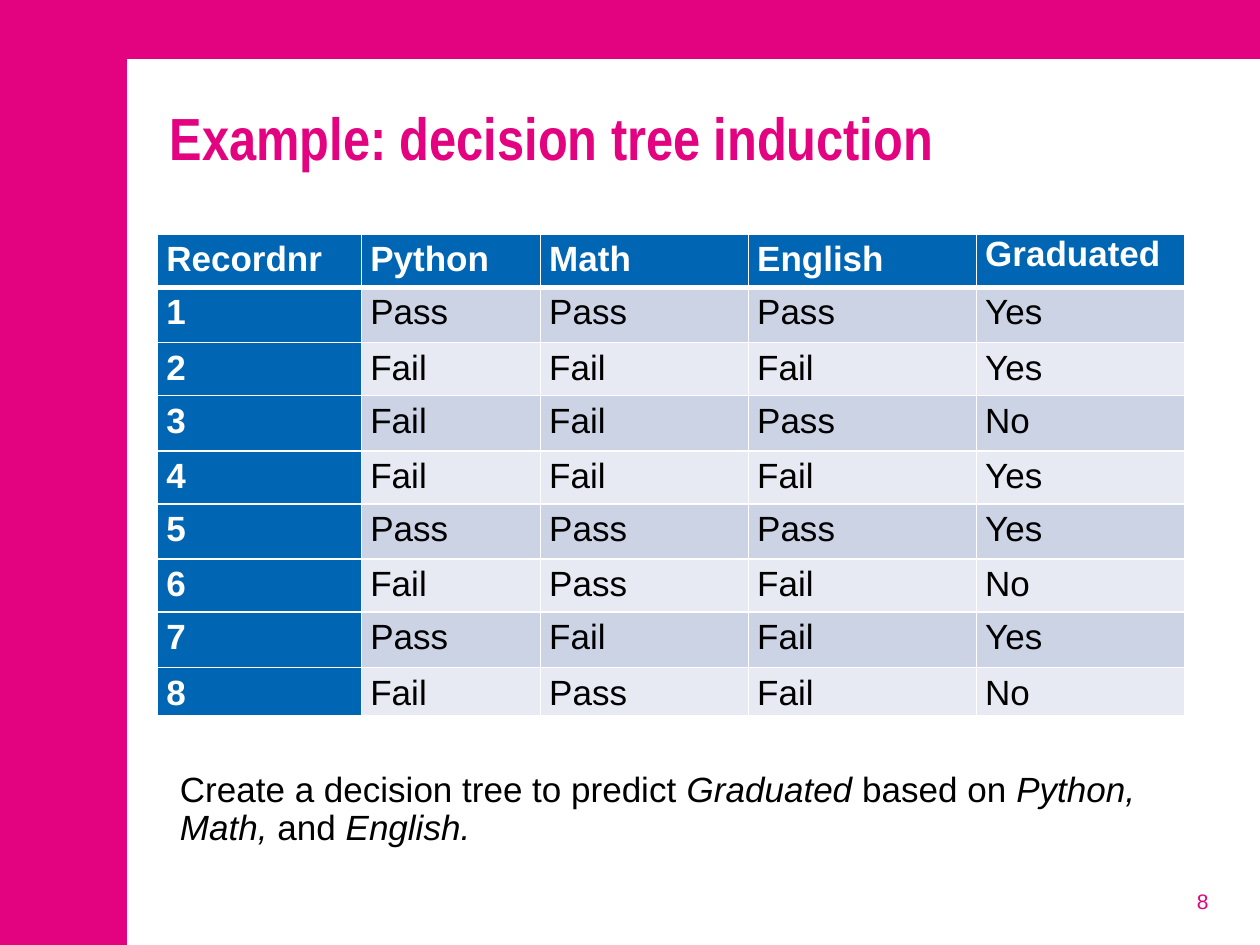
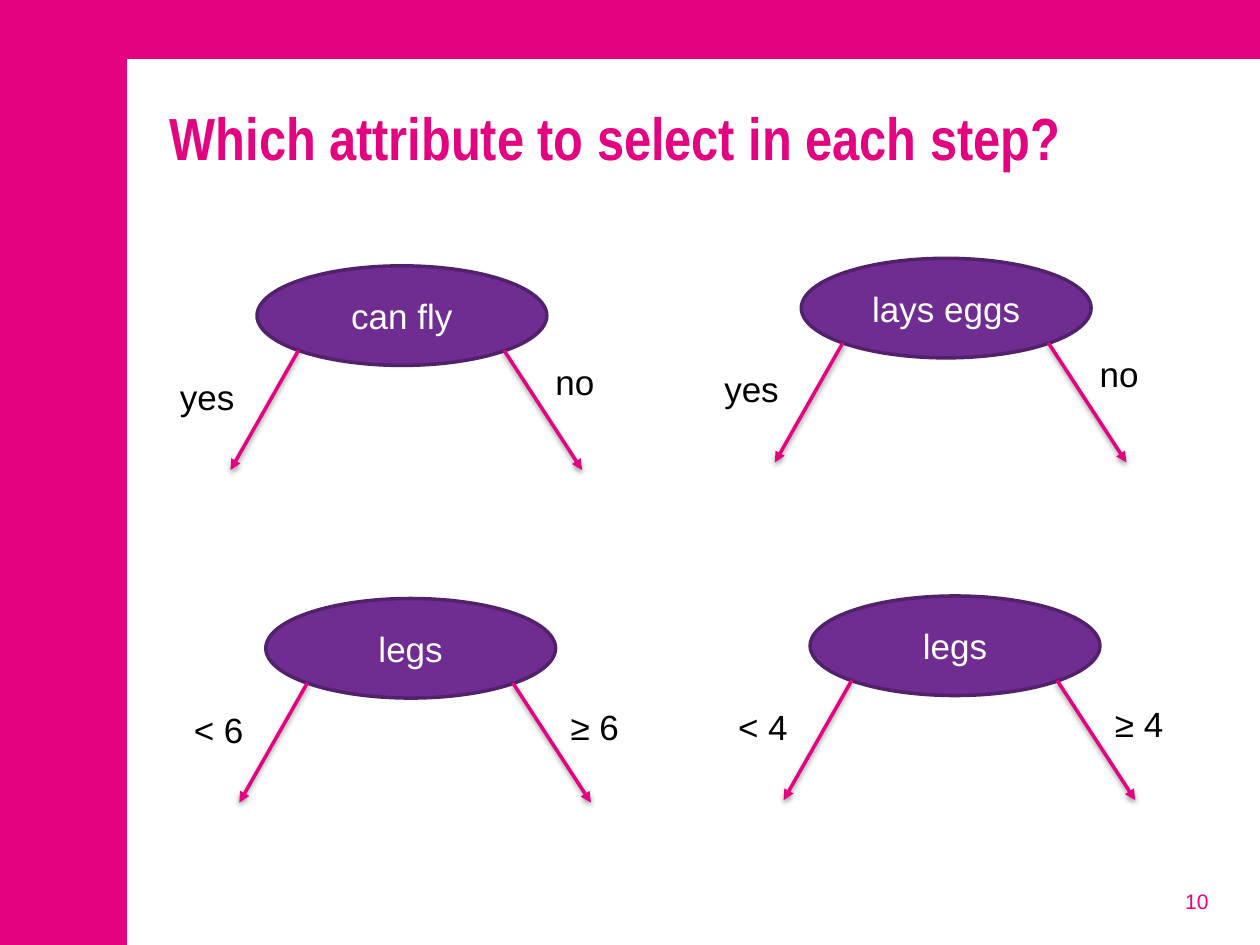
from lxml import etree
from pptx import Presentation
from pptx.dml.color import RGBColor
from pptx.enum.shapes import MSO_CONNECTOR, MSO_SHAPE
from pptx.enum.text import MSO_ANCHOR, PP_ALIGN
from pptx.oxml.ns import qn
from pptx.util import Inches, Pt

RECT, OVAL = MSO_SHAPE.RECTANGLE, MSO_SHAPE.OVAL
LINE = MSO_CONNECTOR.STRAIGHT
MIDDLE = MSO_ANCHOR.MIDDLE
CENTER, RIGHT = PP_ALIGN.CENTER, PP_ALIGN.RIGHT

COLS, ROWS, CELL = 100, 75, 0.1
HEX = {"pink": "E3027F", "white": "FFFFFF", "black": "000000",
       "blue": "0066B3", "odd": "CCD3E5", "even": "E7EAF2",
       "plum": "6F2C91", "edge": "52216B"}
FONTS = {
    "title": {"name": "Arial Narrow", "size": Pt(34), "bold": True},
    "page": {"name": "Arial", "size": Pt(12)},
    "body": {"name": "Arial", "size": Pt(20), "bold": False},
    "slant": {"name": "Arial", "size": Pt(20), "italic": True},
    "head": {"name": "Arial", "size": Pt(20), "bold": True},
}
LOOSE = {"line_spacing": 1.15, "space_after": Pt(10)}
TIGHT = {"line_spacing": 0.9, "space_before": Pt(4)}
INSETS = {"margin_left": Inches(0.07), "margin_right": Inches(0.07),
          "margin_top": 0, "margin_bottom": 0}

HEADS = ["Recordnr", "Python", "Math", "English", "Graduated"]
GRADES = ["Pass Pass Pass Yes", "Fail Fail Fail Yes", "Fail Fail Pass No",
          "Fail Fail Fail Yes", "Pass Pass Pass Yes", "Fail Pass Fail No",
          "Pass Fail Fail Yes", "Fail Pass Fail No"]
WIDTHS = [16.2, 14.2, 16.5, 18.1, 16.5]
HEIGHTS = [4.2, 4.4] * 4 + [3.3]
TASK = [("Create a decision tree to predict ", "body"), ("Graduated", "slant"),
        (" based on ", "body"), ("Python, Math, ", "slant"),
        ("and ", "body"), ("English.", "slant")]

WORDS = ((-7.1, 8.2), (22.7, 7))
SIGNS = ((-6.7, 8.2), (23.2, 8))
SPLITS = [(20.4, 21.1, "can fly", ("yes", "no"), WORDS),
          (63.6, 20.5, "lays eggs", ("yes", "no"), WORDS),
          (21.1, 47.5, "legs", ("< 6", "≥ 6"), SIGNS),
          (64.3, 47.3, "legs", ("< 4", "≥ 4"), SIGNS)]
ARROWS = [(3.3, 6.7, -2.1, 16.2), (19.6, 6.7, 25.8, 16.2)]


def grid(*units):
    """Turn grid columns or rows into lengths."""
    return [Inches(unit * CELL) for unit in units]


def style(item, values):
    """Set each attribute named in a dict of format values."""
    for key, value in values.items():
        setattr(item, key, value)


def paint(fill, color):
    """Give a fill one solid colour."""
    fill.solid()
    fill.fore_color.rgb = RGBColor.from_string(HEX[color])


def write(frame, parts, color, **para):
    """Fill the first paragraph with (text, font) parts."""
    first = frame.paragraphs[0]
    style(first, para)
    for text, font in parts:
        run = first.add_run()
        run.text = text
        style(run.font, FONTS[font])
        run.font.color.rgb = RGBColor.from_string(HEX[color])


def note(shapes, box, parts, color, frame=None, **para):
    """Add a wrapping text box."""
    text = shapes.add_textbox(*grid(*box)).text_frame
    style(text, {"word_wrap": True, **(frame or {})})
    write(text, parts, color, **para)


def block(shapes, kind, box, color, edge=None):
    """Add a flat preset shape, with an outline if asked."""
    shape = shapes.add_shape(kind, *grid(*box))
    shape.shadow.inherit = False
    paint(shape.fill, color)
    if edge:
        paint(shape.line.fill, edge)
        shape.line.width = Pt(2)
    else:
        shape.line.fill.background()
    return shape


def node(parent, tag, **values):
    """Add an XML child with attributes."""
    return etree.SubElement(parent, qn(tag), values)


def arrow(shapes, ends):
    """Add a pink arrow with a soft shadow."""
    link = shapes.add_connector(LINE, *grid(*ends))
    paint(link.line.fill, "pink")
    link.line.width = Pt(2)
    props = link.element.spPr
    node(props.find(qn("a:ln")), "a:tailEnd", type="triangle")
    shade = node(node(props, "a:effectLst"), "a:outerShdw", dir="5400000",
                 blurRad=str(Pt(3.1)), dist=str(Pt(1.6)), rotWithShape="0")
    tint = node(shade, "a:srgbClr", val=HEX["black"])
    node(tint, "a:alpha", val="38000")


def border(cell, base):
    """Draw white borders, with the bottom one of a given width."""
    props = cell._tc.get_or_add_tcPr()
    for side, width in zip("LRTB", (1, 1, 1, base)):
        line = node(props, f"a:ln{side}", w=str(Pt(width)))
        node(node(line, "a:solidFill"), "a:srgbClr", val=HEX["white"])


def table(shapes, left, top):
    """Add the table of records."""
    rows = [HEADS] + [[str(i), *grade.split()] for i, grade in enumerate(GRADES, 1)]
    box = grid(left, top, sum(WIDTHS), sum(HEIGHTS))
    sheet = shapes.add_table(len(rows), len(HEADS), *box).table
    for col, width in zip(sheet.columns, grid(*WIDTHS)):
        col.width = width
    for row, height in zip(sheet.rows, grid(*HEIGHTS)):
        row.height = height
    for i, row in enumerate(rows):
        for j, text in enumerate(row):
            cell = sheet.cell(i, j)
            head = i == 0 or j == 0
            style(cell, INSETS)
            border(cell, 1 if i else 3)
            paint(cell.fill, "blue" if head else "odd" if i % 2 else "even")
            para = {} if text == HEADS[-1] else LOOSE
            write(cell.text_frame, [(text, "head" if head else "body")],
                  "white" if head else "black", **para)


def split(slide, x, y, test, labels, spots):
    """Add a test node with its two labelled branches."""
    shapes = slide.shapes.add_group_shape().shapes
    oval = block(shapes, OVAL, (x, y, 23, 7.9), "plum", "edge")
    oval.text_frame.vertical_anchor = MIDDLE
    write(oval.text_frame, [(test, "body")], "white", alignment=CENTER)
    for (x1, y1, x2, y2), label, (dx, dy) in zip(ARROWS, labels, spots):
        arrow(shapes, (x + x1, y + y1, x + x2, y + y2))
        note(shapes, (x + dx, y + dy, 7.3, 4.4), [(label, "body")], "black")


def page(deck, title, number):
    """Add a slide with its frame, title and page number."""
    slide = deck.slides.add_slide(deck.slide_layouts[6])
    paint(slide.background.fill, "pink")
    block(slide.shapes, RECT, (10.1, 4.7, COLS - 10.1, ROWS - 4.7), "white")
    note(slide.shapes, (73.6, 69.5, 23.3, 4), [(number, "page")], "pink",
         {"vertical_anchor": MIDDLE}, alignment=RIGHT)
    note(slide.shapes, (12.5, 7, 84.4, 13.4), [(title, "title")], "pink",
         {"margin_top": Inches(0.1)})
    return slide


def main():
    """Build the deck."""
    deck = Presentation()
    deck.slide_width, deck.slide_height = grid(COLS, ROWS)
    data = page(deck, "Example: decision tree induction", "8")
    table(data.shapes, 12.5, 18.6)
    note(data.shapes, (13.3, 60.8, 81.4, 9), TASK, "black", **TIGHT)
    tests = page(deck, "Which attribute to select in each step?", "10")
    for item in SPLITS:
        split(tests, *item)
    deck.save("out.pptx")


if __name__ == "__main__":
    main()
